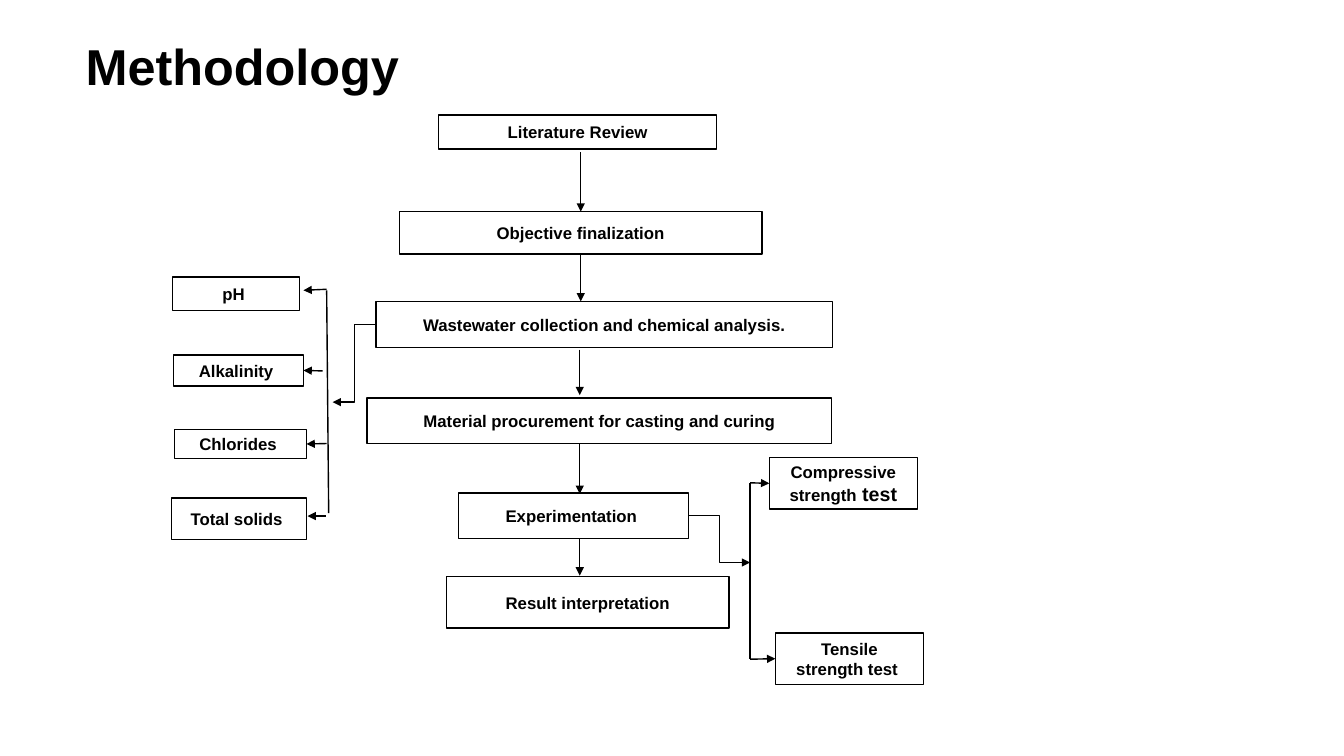
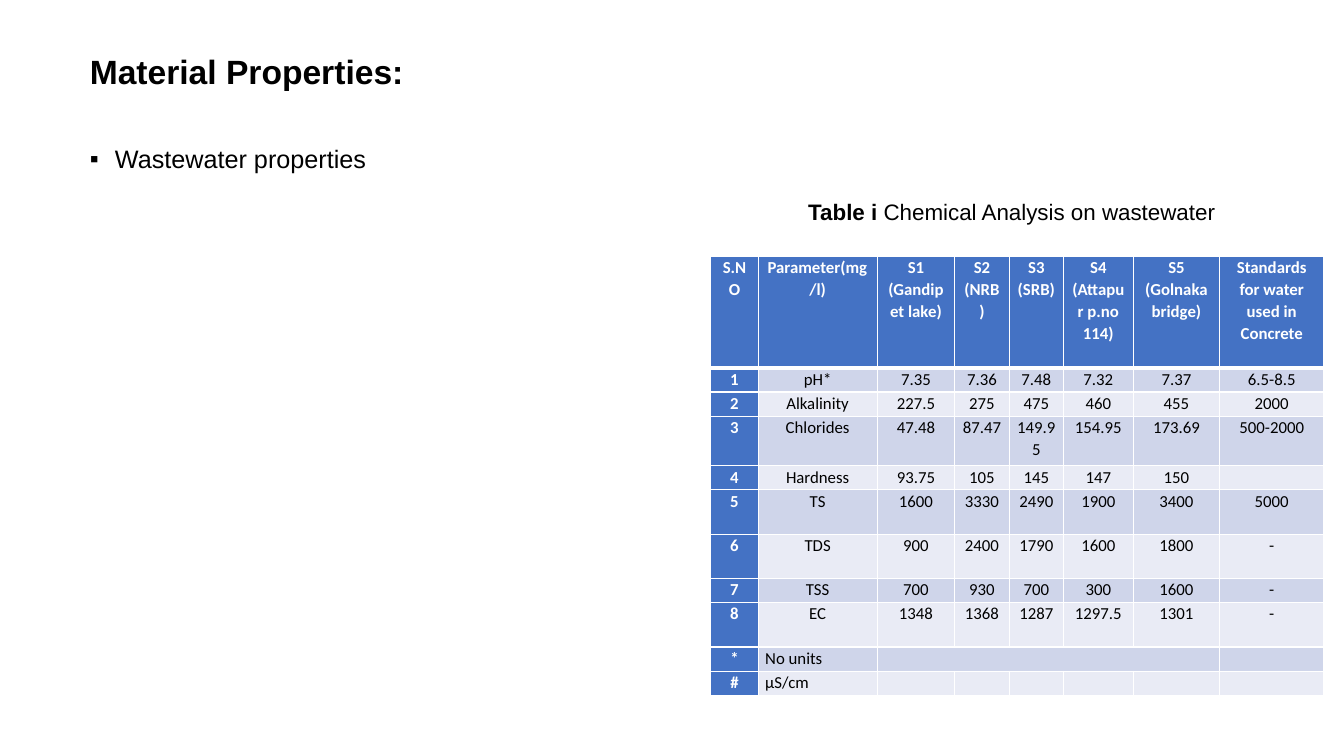
from lxml.etree import SubElement
from pptx import Presentation
from pptx.dml.color import RGBColor
from pptx.enum.shapes import MSO_CONNECTOR, MSO_SHAPE
from pptx.enum.text import MSO_ANCHOR, MSO_AUTO_SIZE, PP_ALIGN
from pptx.oxml.ns import qn
from pptx.util import Pt

PX = 9144  # 100 px to the inch
BLACK = RGBColor(0x00, 0x00, 0x00)
WHITE = RGBColor(0xFF, 0xFF, 0xFF)
BLUE = RGBColor(0x44, 0x72, 0xC4)
BANDS = RGBColor(0xE9, 0xEB, 0xF5), RGBColor(0xCF, 0xD5, 0xEA)

COLS = 47, 118, 77, 54, 54, 69, 86, 103
ROWS = 111, 24, 24, 49, 24, 44, 44, 24, 44, 24, 24
WATER = [
    ["S.NO", "Parameter(mg/l)", "S1 (Gandipet lake)", "S2 (NRB)", "S3 (SRB)",
     "S4 (Attapur p.no 114)", "S5 (Golnaka bridge)",
     "Standards for water used in Concrete"],
    ["1", "pH*", "7.35", "7.36", "7.48", "7.32", "7.37", "6.5-8.5"],
    ["2", "Alkalinity", "227.5", "275", "475", "460", "455", "2000"],
    ["3", "Chlorides", "47.48", "87.47", "149.95", "154.95", "173.69",
     "500-2000"],
    ["4", "Hardness", "93.75", "105", "145", "147", "150", ""],
    ["5", "TS", "1600", "3330", "2490", "1900", "3400", "5000"],
    ["6", "TDS", "900", "2400", "1790", "1600", "1800", "-"],
    ["7", "TSS", "700", "930", "700", "300", "1600", "-"],
    ["8", "EC", "1348", "1368", "1287", "1297.5", "1301", "-"],
    ["*", "No units"] + [""] * 6,
    ["#", "µS/cm"] + [""] * 6,
]


def scale(*sizes):
    return [size * PX for size in sizes]


def write(para, text, size, bold=True, color=BLACK, face="Arial"):
    run = para.add_run()
    run.text = text
    font = run.font
    font.name, font.size, font.bold = face, Pt(size), bold
    font.color.rgb = color


def place(holder, box):
    """Move a placeholder and return its first paragraph, set to the left."""
    holder.left, holder.top, holder.width, holder.height = scale(*box)
    frame = holder.text_frame
    frame.word_wrap = True
    frame.auto_size = MSO_AUTO_SIZE.NONE
    frame.vertical_anchor = MSO_ANCHOR.MIDDLE
    para = frame.paragraphs[0]
    para.alignment = PP_ALIGN.LEFT
    para.line_spacing = 0.9
    para.space_before = Pt(0)
    return para


def head(slide, text, size, box):
    write(place(slide.shapes.title, box), text, size)


def block(slide, box, *parts):
    """Draw an outlined box; each part is a text with its size."""
    rect = slide.shapes.add_shape(MSO_SHAPE.RECTANGLE, *scale(*box))
    rect.shadow.inherit = False
    rect.fill.solid()
    rect.fill.fore_color.rgb = WHITE
    rect.line.color.rgb = BLACK
    rect.line.width = Pt(1)
    frame = rect.text_frame
    frame.word_wrap = True
    frame.vertical_anchor = MSO_ANCHOR.MIDDLE
    para = frame.paragraphs[0]
    para.alignment = PP_ALIGN.CENTER
    for text, size in parts:
        write(para, text, size)
    return rect


def link(slide, start, end, kind=MSO_CONNECTOR.STRAIGHT, arrow=True):
    """Join two ends, each a point (x, y) or a joint (shape, site)."""
    line = slide.shapes.add_connector(kind, 0, 0, 0, 0)
    if isinstance(start[0], int):
        line.begin_x, line.begin_y = scale(*start)
    else:
        line.begin_connect(*start)
    if isinstance(end[0], int):
        line.end_x, line.end_y = scale(*end)
    else:
        line.end_connect(*end)
    line.line.color.rgb = BLACK
    line.line.width = Pt(1)
    props = line._element.spPr
    if arrow:
        SubElement(props.find(qn("a:ln")), qn("a:tailEnd"), type="triangle")
    SubElement(props, qn("a:effectLst"))


def steps(slide, x, y):
    """Draw the main column and return the boxes that branch off."""
    plan = [
        ("Literature Review", 71, 0, 276, 34),
        ("Objective finalization", 32, 96, 360, 42),
        ("Wastewater collection and chemical analysis.", 9, 185, 453, 46),
        ("Material procurement for casting and curing", 0, 281, 461, 45),
        ("Experimentation ", 91, 375, 228, 45),
        ("Result interpretation", 79, 458, 280, 51),
    ]
    boxes = [block(slide, (x + dx, y + dy, w, h), (text, 12))
             for text, dx, dy, w, h in plan]
    aim = boxes[1]
    mid = x + 211
    link(slide, (mid + 1, y + 37), (aim, 0))
    link(slide, (aim, 2), (mid + 1, y + 185))
    for top, end in (233, 278), (326, 376), (421, 457):
        link(slide, (mid, y + top), (mid, y + end))
    return boxes[2], boxes[4]


def checks(slide, x, y, source):
    """Draw the chemical checks, fed from the source box on their right."""
    plan = [
        ("pH ", 1, 0, 126, 33),
        ("Alkalinity ", 2, 77, 129, 31),
        ("Chlorides ", 3, 151, 131, 29),
        ("Total solids ", 0, 219, 134, 41),
    ]
    ph, alkali, chlor, solids = [
        block(slide, (x + dx, y + dy, w, h), (text, 12))
        for text, dx, dy, w, h in plan]
    link(slide, (source, 1), (x + 160, y + 124), MSO_CONNECTOR.ELBOW)
    link(slide, (x + 154, y + 13), (x + 156, y + 234), arrow=False)
    link(slide, (x + 154, y + 12), (x + 131, y + 13))
    link(slide, (x + 150, y + 93), (alkali, 3))
    link(slide, (x + 154, y + 165), (chlor, 3))
    link(slide, (x + 153, y + 237), (x + 135, y + 237))


def tests(slide, x, y, source):
    """Draw the strength tests, fed from the source box on their left."""
    press = block(slide, (x + 19, y, 147, 51),
                  ("Compressive strength", 12), (" test", 14))
    pull = block(slide, (x + 25, y + 174, 147, 51),
                 ("Tensile strength test ", 12))
    high, low = (x, y + 25), (x, y + 200)
    link(slide, (source, 3), (x, y + 104), MSO_CONNECTOR.ELBOW)
    link(slide, high, low, arrow=False)
    link(slide, high, (press, 1))
    link(slide, low, (pull, 1))


def edge(cell, header):
    props = cell._tc.get_or_add_tcPr()
    for index, side in enumerate(("lnL", "lnR", "lnT", "lnB")):
        width = Pt(3) if header and side == "lnB" else Pt(1)
        line = SubElement(props, qn("a:" + side), w=str(int(width)))
        fill = SubElement(line, qn("a:solidFill"))
        SubElement(fill, qn("a:srgbClr"), val=str(WHITE))
        props.remove(line)
        props.insert(index, line)


def entry(cell, text, row, col):
    """Fill and format one table cell by its place in the grid."""
    label = row == 0 or col == 0
    cell.fill.solid()
    cell.fill.fore_color.rgb = BLUE if label else BANDS[row % 2]
    edge(cell, row == 0)
    cell.margin_left = cell.margin_right = 7 * PX
    cell.margin_top = cell.margin_bottom = 0
    para = cell.text_frame.paragraphs[0]
    if not text:
        SubElement(para._p, qn("a:endParaRPr"), sz="1200")
        return
    note = row > 8 and col == 1
    para.alignment = PP_ALIGN.LEFT if note else PP_ALIGN.CENTER
    para.line_spacing = 1.07
    para.space_after = Pt(8)
    write(para, text, 12, label, WHITE if label else BLACK, "Calibri")


def grid(slide, x, y):
    box = scale(x, y, sum(COLS), sum(ROWS))
    table = slide.shapes.add_table(len(ROWS), len(COLS), *box).table
    for col, width in zip(table.columns, COLS):
        col.width = width * PX
    for row, height in zip(table.rows, ROWS):
        row.height = height * PX
    for row, texts in enumerate(WATER):
        for col, text in enumerate(texts):
            entry(table.cell(row, col), text, row, col)
    table.cell(9, 2).merge(table.cell(9, 6))


def caption(slide, box):
    frame = slide.shapes.add_textbox(*scale(*box)).text_frame
    frame.word_wrap = True
    para = frame.paragraphs[0]
    para.alignment = PP_ALIGN.CENTER
    para.line_spacing = 1.07
    para._p.get_or_add_pPr().set("marL", str(50 * PX))
    write(para, "Table i", 16)
    write(para, " Chemical Analysis on wastewater", 16, False)


def bullet(holder, text, box):
    para = place(holder, box)
    props = para._p.get_or_add_pPr()
    props.set("marL", str(25 * PX))
    props.set("indent", str(-25 * PX))
    SubElement(props, qn("a:buFont"), typeface="Arial")
    SubElement(props, qn("a:buChar"), char="▪")
    write(para, text, 18, False)


def method(deck):
    slide = deck.slides.add_slide(deck.slide_layouts[5])
    head(slide, "Methodology", 36, (75, 24, 1150, 90))
    water, trial = steps(slide, 364, 114)
    checks(slide, 170, 275, water)
    tests(slide, 744, 454, trial)


def matter(deck):
    slide = deck.slides.add_slide(deck.slide_layouts[1])
    head(slide, "Material Properties:", 24, (79, 51, 1210, 45))
    bullet(slide.placeholders[1], "Wastewater properties", (79, 139, 500, 40))
    grid(slide, 705, 254)
    caption(slide, (645, 190, 667, 37))


def main():
    deck = Presentation()
    deck.slide_width, deck.slide_height = scale(1333, 750)
    method(deck)
    matter(deck)
    deck.save("out.pptx")


if __name__ == "__main__":
    main()
